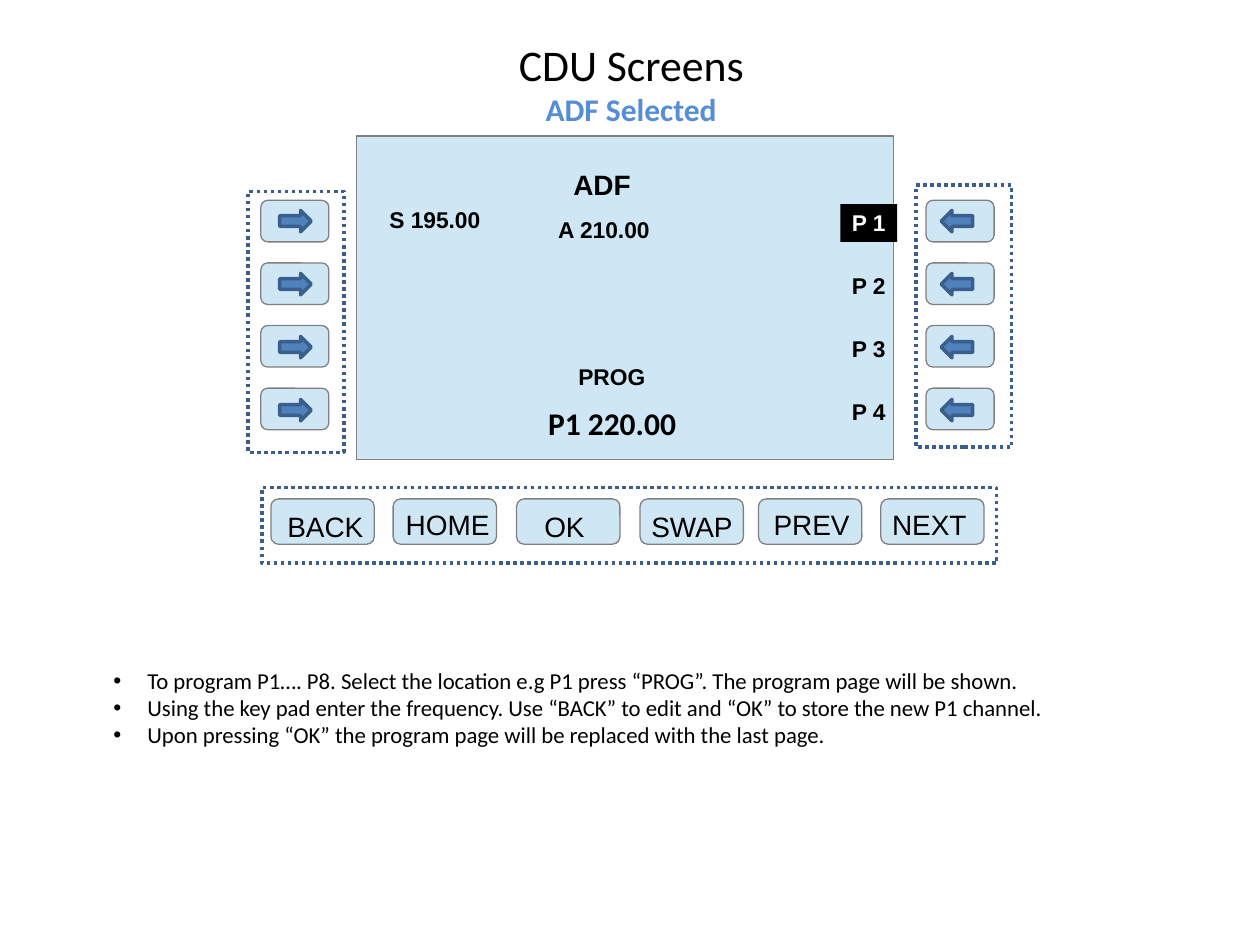
"""Build the CDU Screens slide showing the ADF page and its keys."""
import pptx
import pptx.dml.color
import pptx.enum.dml
import pptx.enum.shapes
import pptx.enum.text
import pptx.oxml
import pptx.util
from pptx.util import Inches

RGBColor = pptx.dml.color.RGBColor
MSO_SHAPE = pptx.enum.shapes.MSO_SHAPE
BLACK = RGBColor(0x00, 0x00, 0x00)
WHITE = RGBColor(0xFF, 0xFF, 0xFF)
PALE_BLUE = RGBColor(0xCF, 0xE7, 0xF5)
GREY = RGBColor(0x80, 0x80, 0x80)
ARROW_BLUE = RGBColor(0x4F, 0x81, 0xBD)
DARK_BLUE = RGBColor(0x3A, 0x5F, 0x8C)
SUBTITLE_BLUE = RGBColor(0x55, 0x8E, 0xD5)


def add_part(preset, left, top, width, height, fill, line, line_width):
    part = slide.shapes.add_shape(
        preset, Inches(left), Inches(top), Inches(width), Inches(height))
    part.shadow.inherit = False
    if fill is None:
        part.fill.background()
    else:
        part.fill.solid()
        part.fill.fore_color.rgb = fill
    part.line.color.rgb = line
    part.line.width = pptx.util.Pt(line_width)
    return part


def add_label(text, left, top, width, height, size, bold=True, font="Arial", color=BLACK):
    label = slide.shapes.add_textbox(
        Inches(left), Inches(top), Inches(width), Inches(height))
    frame = label.text_frame
    frame.word_wrap = False
    frame.margin_left = frame.margin_right = Inches(0.09)
    frame.margin_top = frame.margin_bottom = Inches(0.04)
    frame.text = text
    for paragraph in frame.paragraphs:
        for run in paragraph.runs:
            run.font.name = font
            run.font.size = pptx.util.Pt(size)
            run.font.bold = bold
            run.font.color.rgb = color
    return label


presentation = pptx.Presentation()
presentation.slide_width = Inches(10)
presentation.slide_height = Inches(7.5)
slide = presentation.slides.add_slide(presentation.slide_layouts[6])

title = add_label("", 0.51, 0.25, 9, 1.25, 25, False, "Calibri")
title.text_frame.word_wrap = True
title.text_frame.margin_top = Inches(0.05)
heading = title.text_frame.paragraphs[0]
heading.text = "CDU Screens\nADF Selected"
heading.alignment = pptx.enum.text.PP_ALIGN.CENTER
heading_styles = [(25, False, BLACK), (18, True, SUBTITLE_BLUE)]
for run, (size, bold, color) in zip(heading.runs, heading_styles):
    run.font.name = "Calibri"
    run.font.size = pptx.util.Pt(size)
    run.font.bold = bold
    run.font.color.rgb = color

add_part(MSO_SHAPE.RECTANGLE, 2.83, 1.08, 4.26, 2.57, PALE_BLUE, GREY, 0)

key_groups = [(1.97, 1.52, 0.76, 2.07), (7.27, 1.47, 0.76, 2.08), (2.08, 3.87, 5.83, 0.6)]
for bounds in key_groups:
    outline = add_part(MSO_SHAPE.RECTANGLE, *bounds, None, DARK_BLUE, 2)
    outline.line.dash_style = pptx.enum.dml.MSO_LINE.ROUND_DOT

side_keys = [
    (MSO_SHAPE.RIGHT_ARROW, 2.07, 2.22),
    (MSO_SHAPE.LEFT_ARROW, 7.35, 7.47),
]
for arrow, key_left, arrow_left in side_keys:
    for row in range(4):
        add_part(MSO_SHAPE.ROUNDED_RECTANGLE, key_left, 1.59 + 0.497 * row,
                 0.54, 0.33, PALE_BLUE, GREY, 0)
        add_part(arrow, arrow_left, 1.67 + 0.5 * row, 0.25, 0.17, ARROW_BLUE, DARK_BLUE, 2)

bottom_keys = [
    ("BACK", 2.15, 2.19, 4, 0.82),
    ("HOME", 3.12, 3.13, 3.99, 0.88),
    ("OK", 4.1, 4.23, 4, 0.6),
    ("SWAP", 5.08, 5.08, 4, 0.86),
    ("PREV", 6.02, 6.05, 3.99, 0.82),
    ("NEXT", 6.99, 6.99, 3.99, 0.82),
]
for name, key_left, name_left, name_top, name_width in bottom_keys:
    add_part(MSO_SHAPE.ROUNDED_RECTANGLE, key_left, 3.96, 0.82, 0.36, PALE_BLUE, GREY, 0)
    add_label(name, name_left, name_top, name_width, 0.35, 16, False)

add_label("ADF", 4.46, 1.29, 0.64, 0.35, 16)
add_label("S 195.00", 3, 1.59, 0.91, 0.3, 13)
add_label("A 210.00", 4.34, 1.67, 0.91, 0.3, 13)
add_label("PROG", 4.5, 2.84, 0.72, 0.3, 13)
add_label("P1 220.00", 4.26, 3.17, 1.23, 0.4, 18, font="Calibri")

for row in range(4):
    selected = row == 0
    preset_label = add_label(f"P {row + 1}", 6.67, 1.62 + 0.5 * row, 0.45, 0.3, 13,
                             color=WHITE if selected else BLACK)
    if selected:
        preset_label.fill.solid()
        preset_label.fill.fore_color.rgb = BLACK

instructions = add_label(
    "To program P1…. P8. Select the location e.g P1 press “PROG”. The program page will be shown.\n"
    "Using the key pad enter the frequency. Use “BACK” to edit and “OK” to store the new P1 channel.\n"
    "Upon pressing “OK” the program page will be replaced with the last page.",
    0.81, 5.25, 7.77, 0.75, 13, False, "Calibri")
instructions.text_frame.word_wrap = True
for paragraph in instructions.text_frame.paragraphs:
    properties = paragraph._p.get_or_add_pPr()
    properties.set("marL", str(Inches(0.27)))
    properties.set("indent", str(-Inches(0.27)))
    properties.append(pptx.oxml.parse_xml(
        '<a:buFont xmlns:a="http://schemas.openxmlformats.org/drawingml/2006/main" typeface="Arial"/>'))
    properties.append(pptx.oxml.parse_xml(
        '<a:buChar xmlns:a="http://schemas.openxmlformats.org/drawingml/2006/main" char="•"/>'))

presentation.save("out.pptx")
